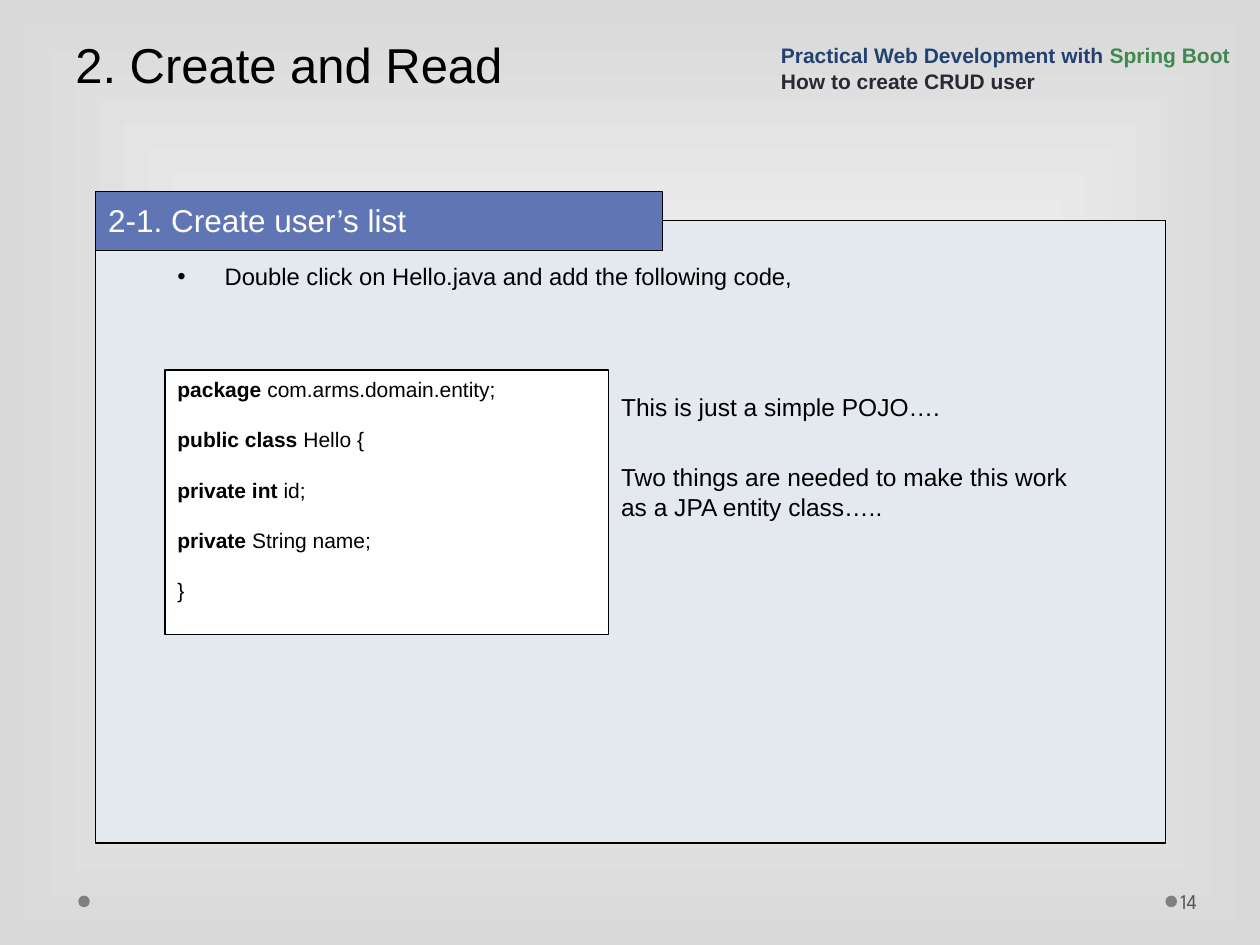
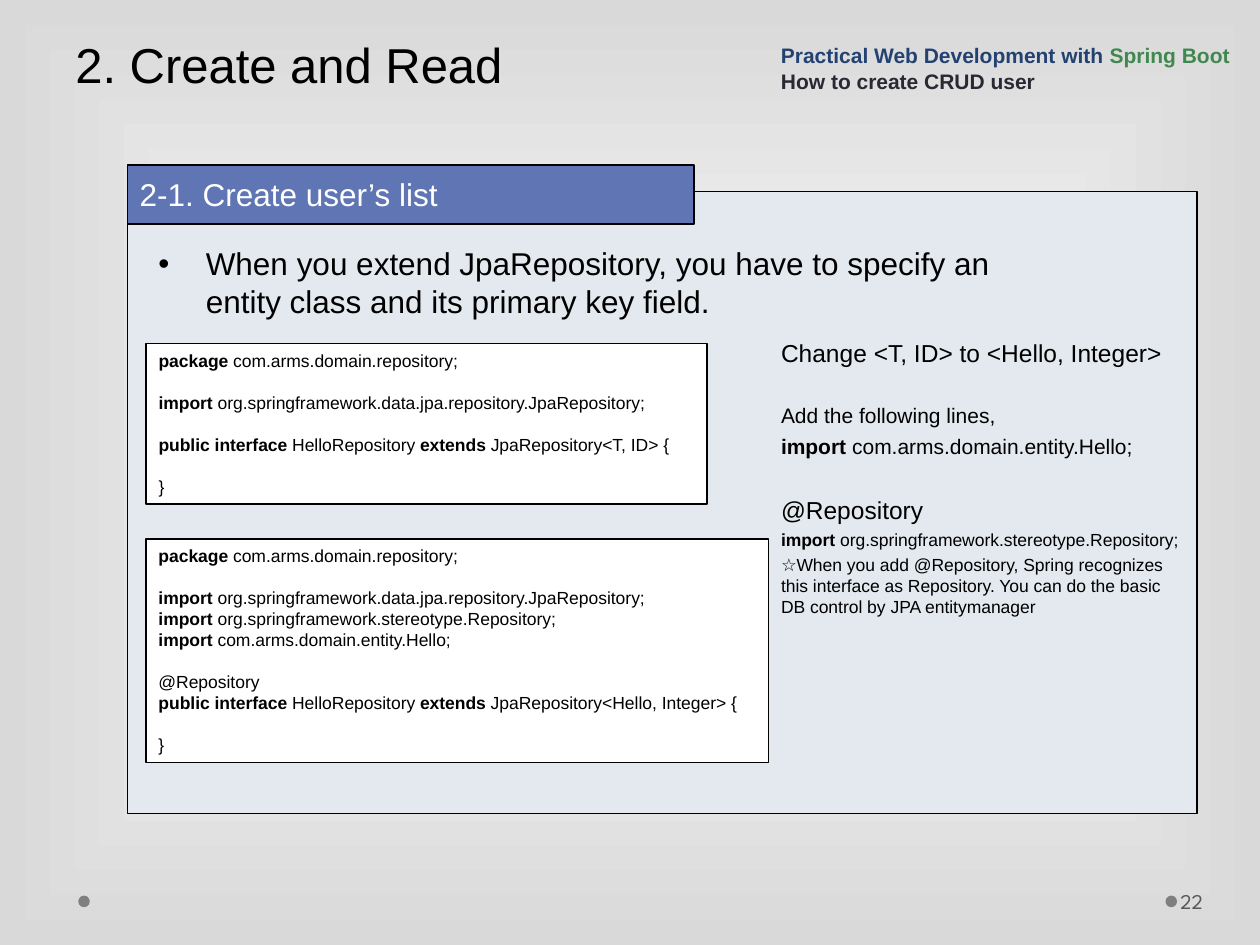
from dataclasses import dataclass
from typing import Any, Optional

from lxml.etree import SubElement
from pptx import Presentation
from pptx.dml.color import RGBColor
from pptx.enum.shapes import MSO_SHAPE
from pptx.enum.text import MSO_ANCHOR
from pptx.oxml import parse_xml
from pptx.oxml.ns import nsdecls, qn
from pptx.util import Pt

BLACK = RGBColor(0x00, 0x00, 0x00)
WHITE = RGBColor(0xFF, 0xFF, 0xFF)
EDGE_GREY = RGBColor(0xD9, 0xD9, 0xD9)
DOT_GREY = RGBColor(0x7F, 0x7F, 0x7F)
NUMBER_GREY = RGBColor(0x59, 0x59, 0x59)
PANEL_BLUE = RGBColor(0xE4, 0xE9, 0xEF)
BAND_BLUE = RGBColor(0x60, 0x76, 0xB4)
COURSE_BLUE = RGBColor(0x23, 0x42, 0x71)
COURSE_GREEN = RGBColor(0x40, 0x88, 0x4F)
COURSE_DARK = RGBColor(0x29, 0x29, 0x34)

BODY_FONT = "Arial"
NUMBER_FONT = "League Spartan"
HANG = 27


@dataclass(frozen=True)
class Box:
    """A rectangle in points."""
    left: float
    top: float
    width: float
    height: float


@dataclass(frozen=True)
class Run:
    """A piece of text in one style."""
    text: str
    bold: bool = False
    color: RGBColor = BLACK
    font: str = BODY_FONT


@dataclass(frozen=True)
class Para:
    """A paragraph of runs with its spacing."""
    runs: tuple[Run, ...]
    size: float
    before: float = 0
    spacing: Optional[Any] = None
    bullet: bool = False


@dataclass(frozen=True)
class Block:
    """Paragraphs in a box, framed in white when they are code."""
    box: Box
    paras: list[Para]
    framed: bool = False


@dataclass(frozen=True)
class Page:
    """The content of one slide."""
    number: str
    panel: Box
    band: Box
    blocks: list[Block]


def assign(target: Any, values: dict[str, Any]) -> None:
    """Set each attribute named in the dict."""
    for name, value in values.items():
        setattr(target, name, value)


def marked(text: str, size: float, before: float = 0, **style: Any) -> Para:
    """Make a paragraph in which text between asterisks is bold."""
    pieces = enumerate(text.split("*"))
    runs = tuple(Run(piece, i % 2 == 1) for i, piece in pieces if piece)
    return Para(runs, size, before, **style)


def code(size: float, line: float, groups: list[list[str]]) -> list[Para]:
    """Make code paragraphs with one line of space between groups."""
    return [marked(text, size, line if g and not i else 0)
            for g, group in enumerate(groups) for i, text in enumerate(group)]


def write(sp: Any, paras: list[Para], anchor: Any = MSO_ANCHOR.TOP,
          left_inset: float = 7.2) -> None:
    """Fill a shape with paragraphs."""
    tf = sp.text_frame
    assign(tf, {"word_wrap": True, "vertical_anchor": anchor,
                "margin_left": Pt(left_inset), "margin_right": Pt(7.2),
                "margin_top": Pt(3.6), "margin_bottom": Pt(3.6)})
    for i, para in enumerate(paras):
        p = tf.add_paragraph() if i else tf.paragraphs[0]
        assign(p, {"space_before": Pt(para.before), "line_spacing": para.spacing})
        pPr = p._p.get_or_add_pPr()
        pPr.set("algn", "l")
        if para.bullet:
            pPr.set("marL", str(Pt(HANG)))
            pPr.set("indent", str(-Pt(HANG)))
            SubElement(pPr, qn("a:buFont")).set("typeface", BODY_FONT)
            SubElement(pPr, qn("a:buChar")).set("char", "•")
        for run in para.runs:
            r = p.add_run()
            r.text = run.text
            assign(r.font, {"size": Pt(para.size), "name": run.font, "bold": run.bold})
            r.font.color.rgb = run.color


def place(box: Box) -> tuple[Any, ...]:
    """Give the box as lengths."""
    return Pt(box.left), Pt(box.top), Pt(box.width), Pt(box.height)


def add_text(s: Any, box: Box, paras: list[Para], **style: Any) -> None:
    """Add a text box."""
    write(s.shapes.add_textbox(*place(box)), paras, **style)


def add_filled(s: Any, box: Box, fill: RGBColor, kind: Any = MSO_SHAPE.RECTANGLE,
               outlined: bool = True) -> Any:
    """Add a filled shape, with a thin black line if outlined."""
    sp = s.shapes.add_shape(kind, *place(box))
    sp.shadow.inherit = False
    sp.fill.solid()
    sp.fill.fore_color.rgb = fill
    if outlined:
        sp.line.color.rgb = BLACK
        sp.line.width = Pt(0.75)
    else:
        sp.line.fill.background()
    return sp


def paint_background(s: Any) -> None:
    """Paint a gradient from a white centre to grey edges."""
    s.background.fill.solid()
    bgPr = s.background._cSld.bg.bgPr
    solid = bgPr.find(qn("a:solidFill"))
    bgPr.replace(solid, parse_xml(
        f'<a:gradFill {nsdecls("a")} rotWithShape="1"><a:gsLst>'
        f'<a:gs pos="0"><a:srgbClr val="{WHITE}"/></a:gs>'
        f'<a:gs pos="100000"><a:srgbClr val="{EDGE_GREY}"/></a:gs></a:gsLst>'
        '<a:path path="rect"><a:fillToRect l="50000" t="50000" r="50000" b="50000"/>'
        '</a:path></a:gradFill>'))


TITLE = [Para((Run("2. Create and Read"),), 28, spacing=Pt(58))]
COURSE = [
    Para((Run("Practical Web Development with ", True, COURSE_BLUE),
          Run("Spring Boot", True, COURSE_GREEN)), 12),
    Para((Run("How to create CRUD user", True, COURSE_DARK),), 12),
]
SECTION = [Para((Run("2-1. Create user’s list", color=WHITE),), 18, 4.5, 1.1)]

PACKAGE = "*package* com.arms.domain.repository;"
IMPORT_JPA = "*import* org.springframework.data.jpa.repository.JpaRepository;"
IMPORT_STEREOTYPE = "*import* org.springframework.stereotype.Repository;"
IMPORT_HELLO = "*import* com.arms.domain.entity.Hello;"
INTERFACE = "*public interface* HelloRepository *extends* JpaRepository"

PAGES = [
    Page("14", Box(54.7, 126, 611.3, 355.7), Box(54.7, 109.4, 324, 33.8), [
        Block(Box(94.3, 147.6, 532, 25.2), [
            marked("Double click on Hello.java and add the following code,",
                   13.6, 4, spacing=0.9, bullet=True)]),
        Block(Box(94.3, 211.5, 253.5, 151.2), code(12, 14.4, [
            ["*package* com.arms.domain.entity;"],
            ["*public class* Hello {"],
            ["*private int* id;"],
            ["*private* String name;"],
            ["}"]]), framed=True),
        Block(Box(347.8, 220.3, 278, 101.5), [
            marked("This is just a simple POJO….", 14, 3.5),
            marked("Two things are needed to make this work as a JPA entity class…..",
                   14, 23.6)]),
    ]),
    Page("22", Box(72.7, 109.4, 611.3, 355.7), Box(72.7, 94.3, 324, 33.8), [
        Block(Box(83.5, 136.1, 532, 52.6), [
            marked("When you extend JpaRepository, you have to specify an entity class "
                   "and its primary key field.", 18, 4.5, bullet=True)]),
        Block(Box(83.5, 196.5, 320.5, 91.5), code(10, 12, [
            [PACKAGE], [IMPORT_JPA], [INTERFACE + "<T, ID> {"], ["}"]]), framed=True),
        Block(Box(439.2, 189.4, 242, 198.7), [
            marked("Change <T, ID> to <Hello, Integer>", 14, 3.5),
            marked("Add the following lines,", 12, 20.4),
            marked(IMPORT_HELLO, 12, 3),
            marked("@Repository", 14, 20.9),
            marked(IMPORT_STEREOTYPE, 10, 2.5),
            marked("☆When you add @Repository, Spring recognizes this interface as "
                   "Repository. You can do the basic DB control by JPA entitymanager",
                   10, 2.5)]),
        Block(Box(83.5, 308.1, 355.7, 127.5), code(10, 12, [
            [PACKAGE],
            [IMPORT_JPA, IMPORT_STEREOTYPE, IMPORT_HELLO],
            ["@Repository", INTERFACE + "<Hello, Integer> {"],
            ["}"]]), framed=True),
    ]),
]


def draw_page(prs: Any, page: Page) -> None:
    """Draw one slide with its shared frame and its own blocks."""
    s = prs.slides.add_slide(prs.slide_layouts[6])
    paint_background(s)
    for left in (666, 44.7):
        add_filled(s, Box(left, 511.8, 6.6, 6.6), DOT_GREY, MSO_SHAPE.OVAL, False)
    number = Run(page.number, color=NUMBER_GREY, font=NUMBER_FONT)
    add_text(s, Box(672.5, 500.4, 44, 28.8), [Para((number,), 12)],
             anchor=MSO_ANCHOR.MIDDLE, left_inset=2)
    add_filled(s, page.panel, PANEL_BLUE)
    add_text(s, Box(36, 0, 648, 56.9), TITLE, anchor=MSO_ANCHOR.BOTTOM)
    write(add_filled(s, page.band, BAND_BLUE), SECTION)
    add_text(s, Box(439.2, 17.3, 280.8, 39.6), COURSE, anchor=MSO_ANCHOR.BOTTOM)
    for block in page.blocks:
        if block.framed:
            write(add_filled(s, block.box, WHITE), block.paras)
        else:
            add_text(s, block.box, block.paras)


def main() -> None:
    """Build and save the presentation."""
    prs = Presentation()
    assign(prs, {"slide_width": Pt(720), "slide_height": Pt(540)})
    for page in PAGES:
        draw_page(prs, page)
    prs.save("out.pptx")


if __name__ == "__main__":
    main()
